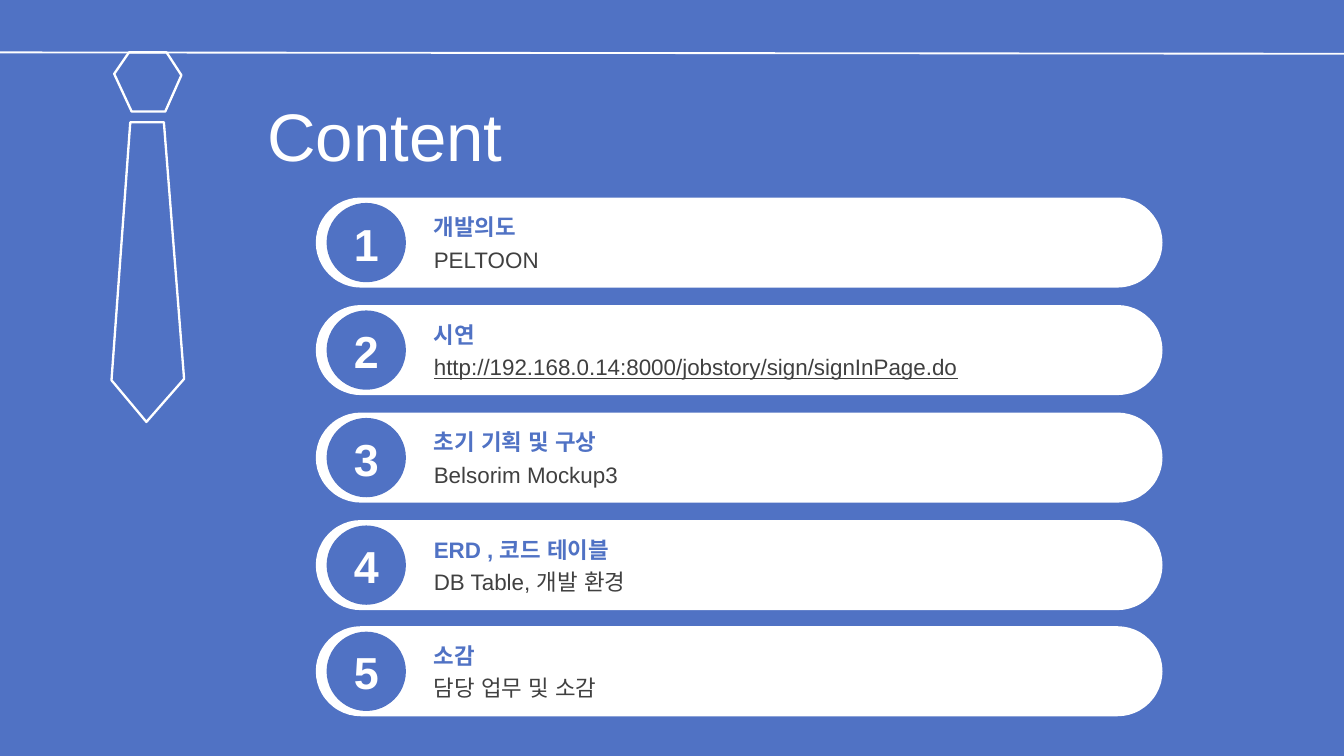
from lxml import etree
from pptx import Presentation
from pptx.dml.color import RGBColor
from pptx.enum.shapes import MSO_CONNECTOR as Link, MSO_SHAPE as Shape
from pptx.enum.text import MSO_ANCHOR as Anchor, MSO_AUTO_SIZE as Fit, PP_ALIGN as Align
from pptx.oxml.ns import qn
from pptx.util import Inches, Pt

BLUE, WHITE, GRAY = "5072C4", "FFFFFF", "404040"
FONT = "Arial"

TITLE = "Content"
ITEMS = [
    (1.47, "개발의도", "PELTOON"),
    (2.27, "시연", "http://192.168.0.14:8000/jobstory/sign/signInPage.do"),
    (3.07, "초기 기획 및 구상", "Belsorim Mockup3"),
    (3.87, "ERD , 코드 테이블", "DB Table, 개발 환경"),
    (4.66, "소감", "담당 업무 및 소감"),
]
KNOT = [(0.85, 0.55), (0.96, 0.39), (1.24, 0.39), (1.35, 0.56), (1.23, 0.83), (0.98, 0.83)]
BLADE = [(1.37, 2.82), (1.09, 3.14), (0.83, 2.83), (0.97, 0.91), (1.22, 0.91)]


def color(text):
    return RGBColor.from_string(text)


def paint(shape, fill):
    shape.shadow.inherit = False
    shape.fill.solid()
    shape.fill.fore_color.rgb = color(fill)
    shape.line.fill.background()


def add_text(shapes, text, box, size, ink, bold=None, align=None):
    label = shapes.add_textbox(*map(Inches, box))
    frame = label.text_frame
    frame.text = text
    frame.word_wrap = True
    frame.auto_size = Fit.SHAPE_TO_FIT_TEXT
    para = frame.paragraphs[0]
    para.alignment = align
    run = para.runs[0]
    font = run.font
    font.name, font.size, font.bold = FONT, Pt(size), bold
    font.color.rgb = color(ink)
    font.underline = True if text.startswith("http") else None
    # Korean text takes its font from a:ea
    etree.SubElement(run._r.get_or_add_rPr(), qn("a:ea"), typeface=FONT)
    return frame


def add_outline(shapes, points):
    first, *rest = [tuple(map(Inches, point)) for point in points]
    pen = shapes.build_freeform(*first)
    pen.add_line_segments(rest, close=True)
    shape = pen.convert_to_shape()
    shape.shadow.inherit = False
    shape.fill.background()
    shape.line.color.rgb = color(WHITE)
    shape.line.width = Pt(1.25)
    return shape


def add_row(shapes, number, top, head, body):
    bar = shapes.add_shape(Shape.ROUNDED_RECTANGLE, *map(Inches, (2.35, top, 6.3, 0.67)))
    bar.adjustments[0] = 0.5
    paint(bar, WHITE)
    disc = shapes.add_shape(Shape.OVAL, *map(Inches, (2.43, top + 0.04, 0.59, 0.59)))
    paint(disc, BLUE)
    add_text(shapes, str(number), (2.49, top + 0.09, 0.47, 0.5), 24, WHITE, True, Align.CENTER)
    add_text(shapes, body, (3.13, top + 0.31, 5.13, 0.3), 12, GRAY)
    add_text(shapes, head, (3.13, top + 0.07, 5.13, 0.3), 12, BLUE, True)


def main():
    deck = Presentation()
    deck.slide_width = Inches(10)
    deck.slide_height = deck.slide_width * 9 // 16
    slide = deck.slides.add_slide(deck.slide_layouts[6])
    back = slide.background.fill
    back.solid()
    back.fore_color.rgb = color(BLUE)

    title = add_text(slide.shapes, TITLE, (1.89, 0.69, 8.11, 0.63), 36, WHITE)
    title.auto_size = Fit.NONE
    title.vertical_anchor = Anchor.MIDDLE

    tie = slide.shapes.add_group_shape().shapes
    knot = add_outline(tie, KNOT)
    knot.fill.solid()
    knot.fill.fore_color.rgb = color(BLUE)
    add_outline(tie, BLADE)

    rule = slide.shapes.add_connector(Link.STRAIGHT, *map(Inches, (0, 0.39, 10, 0.4)))
    rule.line.color.rgb = color(WHITE)
    rule.line.width = Pt(1)
    etree.SubElement(rule._element.spPr, qn("a:effectLst"))

    for number, (top, head, body) in enumerate(ITEMS, 1):
        row = slide.shapes.add_group_shape().shapes
        add_row(row, number, top, head, body)

    deck.save("out.pptx")


if __name__ == "__main__":
    main()
